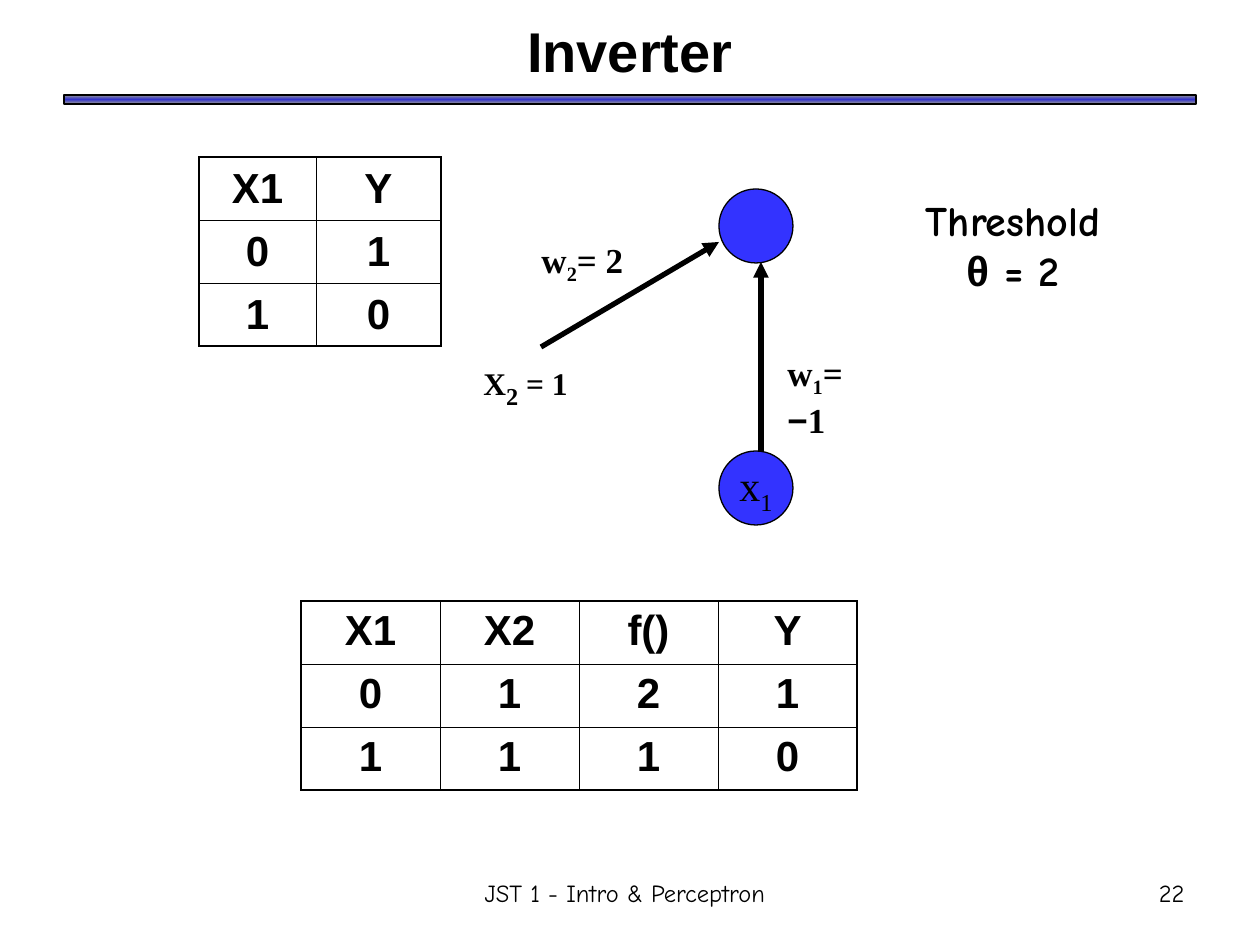
from copy import deepcopy
from lxml import etree
from pptx import Presentation, util as u
from pptx.dml.color import RGBColor
from pptx.enum import shapes, text
from pptx.oxml import ns

PX = 914400 / 126
BLACK = RGBColor(0x00, 0x00, 0x00)
BLUE = RGBColor(0x33, 0x33, 0xFF)
NAVY = RGBColor(0x33, 0x33, 0xCC)
GRAY = RGBColor(0x96, 0x96, 0x96)
SANS, SERIF, COMIC = "Arial", "Times New Roman", "Comic Neue"
LEFT, MID, RIGHT = text.PP_ALIGN.LEFT, text.PP_ALIGN.CENTER, text.PP_ALIGN.RIGHT
CENTER = text.MSO_ANCHOR.MIDDLE
TOP = text.MSO_ANCHOR.TOP


def px(*vals):
    return [u.Emu(round(v * PX)) for v in vals]


def write(para, runs, face, size, bold=True, align=LEFT):
    para.alignment = align
    font = para.font
    font.name, font.size, font.bold = face, u.Pt(size), bold
    font.color.rgb = BLACK
    for words, *marks in runs:
        run = para.add_run()
        run.text = words
        for mark in marks:
            if mark == "sub":
                run.font._element.set("baseline", "-25000")
            elif isinstance(mark, str):
                run.font.name = mark
            else:
                run.font.size = u.Pt(mark)


def label(slide, box, lines, face, size, bold=True, align=LEFT, anchor=TOP):
    frame = slide.shapes.add_textbox(*px(*box)).text_frame
    frame.word_wrap = True
    frame.vertical_anchor = anchor
    for i, runs in enumerate(lines):
        para = frame.add_paragraph() if i else frame.paragraphs[0]
        write(para, runs, face, size, bold, align)


def header(slide, x, y, w, h):
    bar = slide.shapes.add_shape(shapes.MSO_SHAPE.RECTANGLE, *px(x, y + h - 9, w, 9))
    bar.shadow.inherit = False
    bar.line.color.rgb = BLACK
    bar.line.width = u.Pt(1)
    bar.fill.gradient()
    bar.fill.gradient_angle = 90
    stops = bar._element.spPr.find(".//" + ns.qn("a:gsLst"))
    stops.append(deepcopy(stops[0]))
    for stop, place, shade in zip(bar.fill.gradient_stops, (0, 0.5, 1), (GRAY, NAVY, GRAY)):
        stop.position = place
        stop.color.rgb = shade
    label(slide, (x - 1, y, w + 2, h + 1), [[("Inverter",)]], SANS, 32, align=MID, anchor=CENTER)


def border(cell, side, width):
    line = etree.SubElement(cell._tc.get_or_add_tcPr(), ns.qn("a:ln" + side), w=str(u.Pt(width)))
    fill = etree.SubElement(line, ns.qn("a:solidFill"))
    etree.SubElement(fill, ns.qn("a:srgbClr"), val=str(BLACK))


def truth(slide, x, y, cols, rows, step, anchor):
    box = px(x, y, sum(cols), step * len(rows))
    grid = slide.shapes.add_table(len(rows), len(cols), *box).table
    grid.first_row = grid.horz_banding = False
    for col, wide in zip(grid.columns, cols):
        col.width = px(wide)[0]
    for r, vals in enumerate(rows):
        grid.rows[r].height = px(step)[0]
        for c, val in enumerate(vals):
            cell = grid.cell(r, c)
            cell.vertical_anchor = anchor
            edges = {"L": c == 0, "R": c == len(cols) - 1, "T": r == 0, "B": r == len(rows) - 1}
            for side, outer in edges.items():
                border(cell, side, 1.08 if outer else 0.45)
            cell.fill.background()
            write(cell.text_frame.paragraphs[0], [(val,)], SANS, 24, align=MID)


def node(slide, x, y, size):
    disc = slide.shapes.add_shape(shapes.MSO_SHAPE.OVAL, *px(x, y, size, size))
    disc.shadow.inherit = False
    disc.fill.solid()
    disc.fill.fore_color.rgb = BLUE
    disc.line.color.rgb = BLACK
    disc.line.width = u.Pt(0.75)
    return disc


def arrow(slide, *ends):
    link = slide.shapes.add_connector(shapes.MSO_CONNECTOR.STRAIGHT, *px(*ends))
    link.line.color.rgb = BLACK
    link.line.width = u.Pt(3)
    etree.SubElement(link.line._get_or_add_ln(), ns.qn("a:tailEnd"), type="triangle")
    etree.SubElement(link._element.spPr, ns.qn("a:effectLst"))


def network(slide, x, y):
    node(slide, x + 249, y + 9, 74)
    arrow(slide, x + 291, y + 271, x + 291, y + 82)
    frame = node(slide, x + 249, y + 271, 74).text_frame
    frame.word_wrap = False
    frame.vertical_anchor = CENTER
    write(frame.paragraphs[0], [("x",), ("1", "sub")], SERIF, 24, False, MID)
    arrow(slide, x + 71, y + 167, x + 249, y + 62)
    label(slide, (x + 305, y + 165, 118, 60),
          [[("w",), ("1", "sub"), ("= ",), ("−", SANS), ("1",)]], SERIF, 20)
    label(slide, (x + 59, y + 52, 120, 60), [[("w",), ("2", "sub"), ("= 2",)]], SERIF, 20)
    label(slide, (x + 1, y + 167, 112, 71), [[("X",), ("2", "sub", 24), (" = 1",)]], SERIF, 18)
    label(slide, (x + 443, y + 8, 200, 113),
          [[("Threshold",)], [("θ", SANS), (" = 2",)]], COMIC, 24, align=MID)


def footer(slide, x, y, w, h):
    label(slide, (x, y, 494, h), [[("JST 1 - Intro & Perceptron",)]], COMIC, 14, False, MID, CENTER)
    label(slide, (x + w - 262, y, 262, h), [[("22",)]], COMIC, 14, False, RIGHT, CENTER)


def main():
    deck = Presentation()
    deck.slide_width, deck.slide_height = px(1260, 945)
    slide = deck.slides.add_slide(deck.slide_layouts[6])
    header(slide, 64, -4, 1132, 108)
    truth(slide, 199, 157, [117, 125], ["X1 Y".split(), "01", "10"], 63, CENTER)
    network(slide, 470, 180)
    truth(slide, 301, 601, [139] * 4, ["X1 X2 f() Y".split(), "0121", "1110"], 63, TOP)
    footer(slide, 378, 861, 819, 63)
    deck.save("out.pptx")


if __name__ == "__main__":
    main()
